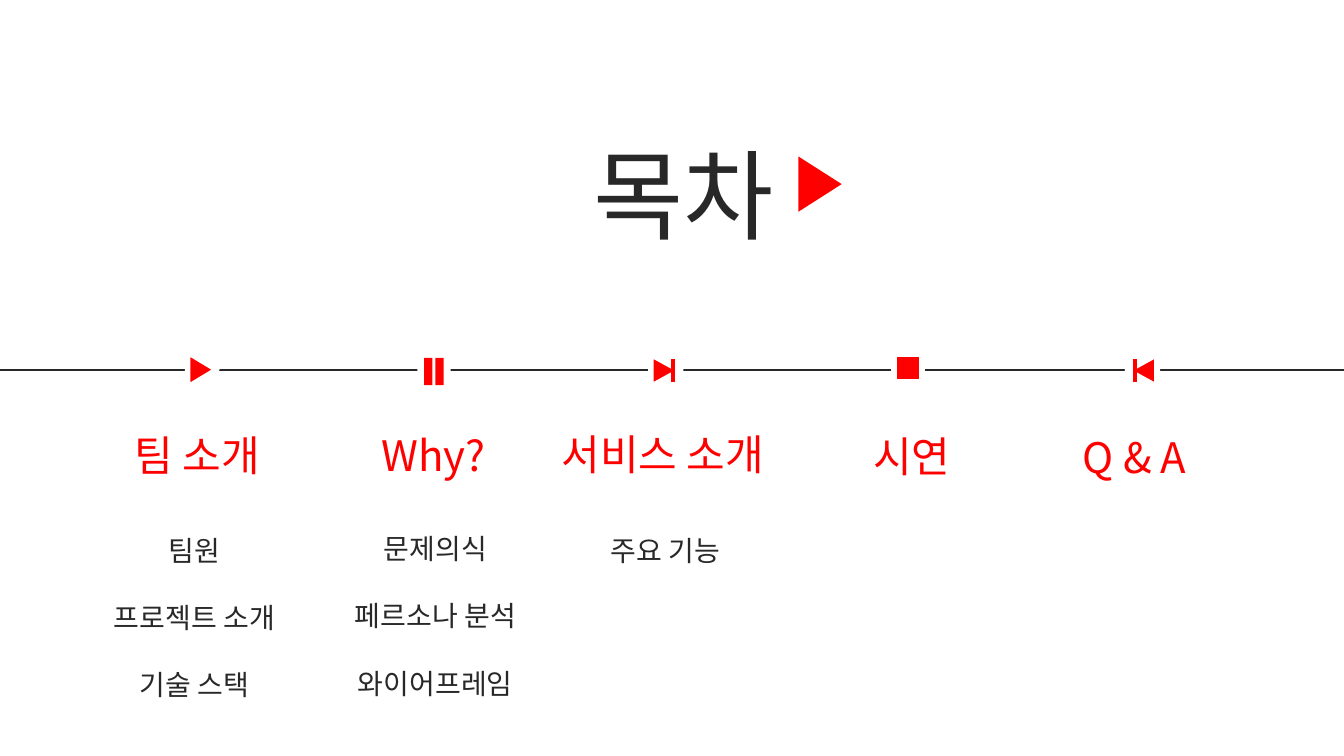
from lxml import etree
from pptx import Presentation
from pptx.dml.color import RGBColor
from pptx.enum.shapes import MSO_CONNECTOR, MSO_SHAPE as SHAPE
from pptx.enum.text import PP_ALIGN
from pptx.oxml.ns import qn
from pptx.util import Pt

FONT = "Noto Sans CJK KR"
RED, DARK, WHITE = "FF0000", "282828", "FFFFFF"
LINE_Y = 264.3

# Heading, left, top, width
HEADINGS = [
    ("팀 소개", 62.6, 303.1, 157),
    ("Why?", 236.9, 303.1, 145.4),
    ("서비스 소개", 389.5, 302.4, 167.8),
    ("시연", 567.4, 303.8, 167.8),
    ("Q & A", 726.5, 304.6, 167.8),
]
# Topics, left, top
TOPICS = [
    (["팀원", "프로젝트 소개", "기술 스택"], 54.7, 377.3),
    (["문제의식", "페르소나 분석", "와이어프레임"], 226.8, 376.2),
    (["주요 기능"], 391, 377.3),
]


def color(value):
    return RGBColor.from_string(value)


def add_text(slide, lines, left, top, width, size, text_color):
    box = slide.shapes.add_textbox(Pt(left), Pt(top), Pt(width), Pt(size * 1.22 + 7.2))
    frame = box.text_frame
    frame.word_wrap = True
    for index, line in enumerate(lines):
        paragraph = frame.paragraphs[0] if index == 0 else frame.add_paragraph()
        paragraph.alignment = PP_ALIGN.CENTER
        # One line is as tall as the size times 1.2; topics stand two lines apart
        paragraph.line_spacing = Pt(size * 1.2)
        if index:
            paragraph.space_before = Pt(size * 1.2)
        run = paragraph.add_run()
        run.text = line
        paragraph.font.size = Pt(size)
        paragraph.font.name = FONT
        paragraph.font.color.rgb = color(text_color)
        # Korean text takes the East Asian font
        east_asian = etree.SubElement(run._r.get_or_add_rPr(), qn("a:ea"))
        east_asian.set("typeface", FONT)


def add_shape(slide, kind, left, top, width, height, fill, rotation=0, outline=False):
    shape = slide.shapes.add_shape(kind, Pt(left), Pt(top), Pt(width), Pt(height))
    shape.shadow.inherit = False
    shape.rotation = rotation
    shape.fill.solid()
    shape.fill.fore_color.rgb = color(fill)
    if outline:
        shape.line.color.rgb = color(WHITE)
        shape.line.width = Pt(4)
    else:
        shape.line.fill.background()


def add_line(slide, x1, y1, x2, y2, line_color, width):
    line = slide.shapes.add_connector(MSO_CONNECTOR.STRAIGHT, Pt(x1), Pt(y1), Pt(x2), Pt(y2))
    line.line.color.rgb = color(line_color)
    line.line.width = Pt(width)
    etree.SubElement(line._element.spPr, qn("a:effectLst"))


def add_skip_icon(slide, left, rotation, bar_x):
    add_shape(slide, SHAPE.RECTANGLE, left, 257, 25.2, 21.6, WHITE)
    add_shape(slide, SHAPE.ISOSCELES_TRIANGLE, left + 0.9, 254.2, 23, 20.9, RED, rotation, True)
    add_line(slide, bar_x, 256.3, bar_x, 272.9, RED, 3)


def add_pause_icon(slide):
    add_shape(slide, SHAPE.RECTANGLE, 298.1, 255.6, 23.8, 20.2, WHITE)
    for left in (302.9, 311):
        add_shape(slide, SHAPE.RECTANGLE, left, 255.6, 6, 19.6, RED)


def main():
    presentation = Presentation()
    presentation.slide_width, presentation.slide_height = Pt(960), Pt(540)
    slide = presentation.slides.add_slide(presentation.slide_layouts[6])

    # Timeline with player icons
    add_line(slide, 0, LINE_Y, 960, LINE_Y, DARK, 2)
    add_shape(slide, SHAPE.ISOSCELES_TRIANGLE, 131.8, 253.6, 25.2, 20.9, RED, 90, True)
    add_shape(slide, SHAPE.RECTANGLE, 638.5, 252.9, 20, 20, RED, outline=True)
    add_pause_icon(slide)
    add_skip_icon(slide, 463, 90, 480.8)
    add_skip_icon(slide, 803.5, 270, 810.8)

    # Title
    add_shape(slide, SHAPE.FLOWCHART_EXTRACT, 565.9, 116, 39.6, 31, RED, 90)
    add_text(slide, ["목차"], 398.2, 92.2, 180, 70, DARK)

    # Headings and their topics
    for heading, left, top, width in HEADINGS:
        add_text(slide, [heading], left, top, width, 30, RED)
    for topics, left, top in TOPICS:
        add_text(slide, topics, left, top, 168.5, 20, DARK)

    presentation.save("out.pptx")


if __name__ == "__main__":
    main()
